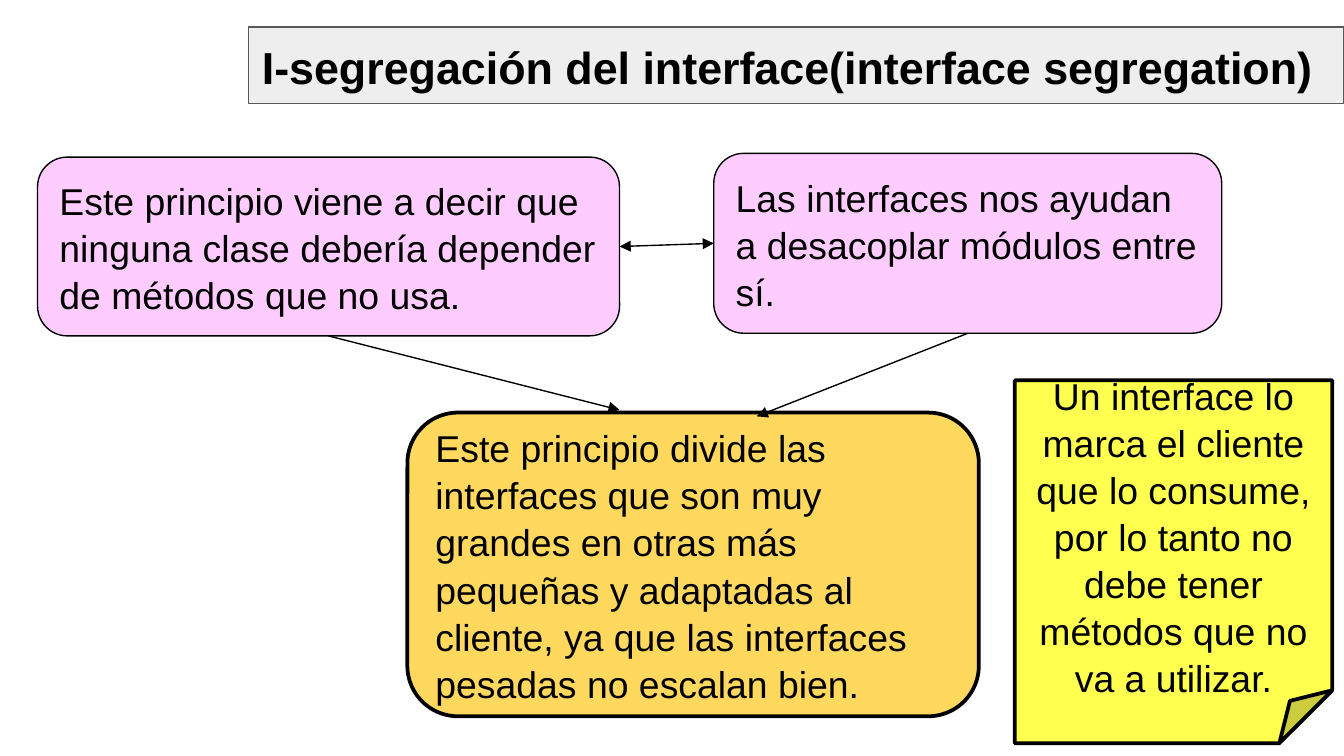
"""Build the interface segregation slide."""
from dataclasses import dataclass

from lxml import etree
from pptx import Presentation
from pptx.dml.color import RGBColor
from pptx.enum.shapes import MSO_CONNECTOR, MSO_SHAPE
from pptx.enum.text import MSO_ANCHOR, PP_ALIGN
from pptx.oxml.ns import qn
from pptx.slide import Slide
from pptx.util import Cm, Pt

RECTANGLE = MSO_SHAPE.RECTANGLE
ROUNDED = MSO_SHAPE.ROUNDED_RECTANGLE
FOLDED = MSO_SHAPE.FOLDED_CORNER
STRAIGHT = MSO_CONNECTOR.STRAIGHT
MIDDLE = MSO_ANCHOR.MIDDLE
LEFT, CENTER = PP_ALIGN.LEFT, PP_ALIGN.CENTER

COLORS = {
    "black": "000000",
    "border": "595959",
    "title": "EEEEEE",
    "idea": "FFCCFF",
    "summary": "FFD85D",
    "note": "FFFF4F",
}
FONT = "Arial"


@dataclass
class Box:
    """A filled shape with text, measured in centimetres."""

    kind: MSO_SHAPE
    left: float
    top: float
    width: float
    height: float
    fill: str
    text: str
    line: str = "black"
    line_width: float = 0.75
    size: int = 20
    bold: bool = False
    alignment: PP_ALIGN = LEFT
    vertical_inset: float = 0.25


@dataclass
class Arrow:
    """A straight arrow between two points in centimetres."""

    start: tuple[float, float]
    end: tuple[float, float]
    double: bool = False


BOXES = [
    Box(RECTANGLE, 4.7, 0.51, 20.7, 1.45, "title",
        "I-segregación del interface(interface segregation)",
        line="border", size=24, bold=True),
    Box(ROUNDED, 0.71, 2.97, 11, 3.38, "idea",
        "Este principio viene a decir que ninguna clase debería depender "
        "de métodos que no usa."),
    Box(ROUNDED, 13.49, 2.9, 9.6, 3.4, "idea",
        "Las interfaces nos ayudan a desacoplar módulos entre sí."),
    Box(ROUNDED, 7.7, 7.8, 10.8, 5.74, "summary",
        "Este principio divide las interfaces que son muy grandes en otras más "
        "pequeñas y adaptadas al cliente, ya que las interfaces pesadas no "
        "escalan bien.",
        line_width=2, vertical_inset=0.13),
    Box(FOLDED, 19.18, 7.19, 6, 6.86, "note",
        "Un interface lo marca el cliente que lo consume, por lo tanto no debe "
        "tener métodos que no va a utilizar.",
        line_width=2, alignment=CENTER, vertical_inset=0.13),
]

ARROWS = [
    Arrow((11.71, 4.66), (13.49, 4.6), double=True),
    Arrow((6.21, 6.35), (11.71, 7.75)),
    Arrow((18.29, 6.3), (14.3, 7.87)),
]


def color(name: str) -> RGBColor:
    """Return the named colour."""
    return RGBColor.from_string(COLORS[name])


def draw_box(slide: Slide, box: Box) -> None:
    """Draw one box with its formatted text."""
    shape = slide.shapes.add_shape(
        box.kind, Cm(box.left), Cm(box.top), Cm(box.width), Cm(box.height))
    shape.shadow.inherit = False
    shape.fill.solid()
    shape.fill.fore_color.rgb = color(box.fill)
    shape.line.color.rgb = color(box.line)
    shape.line.width = Pt(box.line_width)
    frame = shape.text_frame
    frame.word_wrap = True
    frame.vertical_anchor = MIDDLE
    frame.margin_left = frame.margin_right = Cm(0.25)
    frame.margin_top = frame.margin_bottom = Cm(box.vertical_inset)
    frame.text = box.text
    paragraph = frame.paragraphs[0]
    paragraph.alignment = box.alignment
    paragraph.line_spacing = 1.05
    font = paragraph.runs[0].font
    font.name = FONT
    font.size = Pt(box.size)
    font.bold = box.bold
    font.color.rgb = color("black")


def draw_arrow(slide: Slide, arrow: Arrow) -> None:
    """Draw one arrow with triangular heads."""
    points = [Cm(value) for value in (*arrow.start, *arrow.end)]
    connector = slide.shapes.add_connector(STRAIGHT, *points)
    connector.line.color.rgb = color("black")
    connector.line.width = Pt(0.75)
    properties = connector._element.spPr
    outline = properties.find(qn("a:ln"))
    ends = ("a:headEnd", "a:tailEnd") if arrow.double else ("a:tailEnd",)
    for end in ends:
        etree.SubElement(outline, qn(end), type="triangle")
    etree.SubElement(properties, qn("a:effectLst"))


def main() -> None:
    """Create and save the presentation."""
    presentation = Presentation()
    presentation.slide_width = Cm(25.4)
    presentation.slide_height = Cm(14.29)
    slide = presentation.slides.add_slide(presentation.slide_layouts[6])
    for box in BOXES:
        draw_box(slide, box)
    for arrow in ARROWS:
        draw_arrow(slide, arrow)
    presentation.save("out.pptx")


if __name__ == "__main__":
    main()
